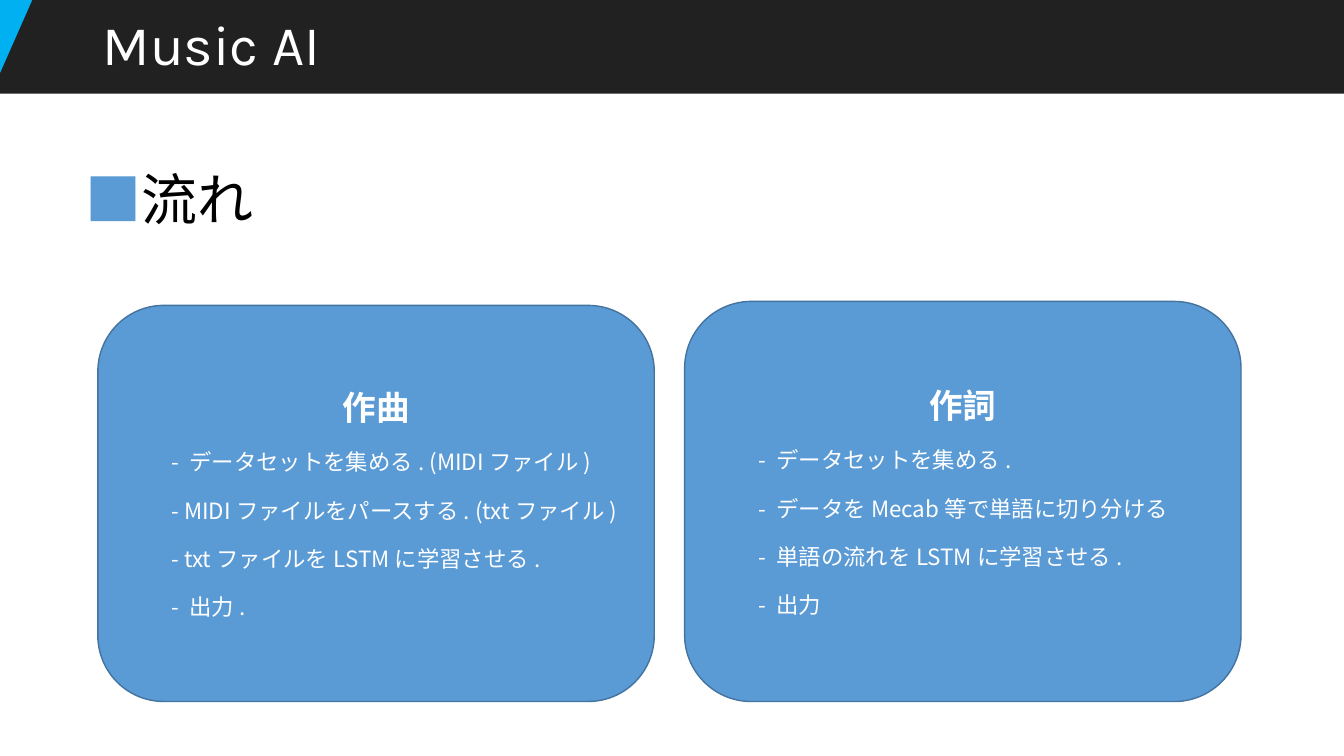
from pptx import Presentation
from pptx.dml.color import RGBColor as RGB
from pptx.enum.shapes import MSO_SHAPE as SHAPE
from pptx.enum.text import MSO_ANCHOR as ANCHOR, PP_ALIGN as ALIGN
from pptx.oxml.ns import qn
from pptx.util import Inches, Pt
from lxml import etree

COLORS = {
    "bar": "212121", "accent": "00B0F0", "card": "5B9BD5",
    "border": "43739E", "light": "FFFFFF", "dark": "000000",
}
LATIN, CJK = "Karla", "Noto Sans CJK JP"


class Deck:
    """Holds the style and the current slide; lengths are percent of its size."""

    def __init__(self):
        self.prs = Presentation()
        self.prs.slide_width, self.prs.slide_height = Inches(13.33), Inches(7.5)
        self.s = self.prs.slides.add_slide(self.prs.slide_layouts[6])

    def box(self, x, y, w, h):
        col, row = self.prs.slide_width / 100, self.prs.slide_height / 100
        return int(x * col), int(y * row), int(w * col), int(h * row)

    def style(self, r, size, color, font=CJK, bold=False):
        r.font.size, r.font.bold, r.font.name = Pt(size), bold, font
        r.font.color.rgb = RGB.from_string(COLORS[color])
        ea = etree.SubElement(r.font._element, qn("a:ea"))
        ea.set("typeface", font)

    def shape(self, kind, area, fill, line=None):
        sp = self.s.shapes.add_shape(kind, *self.box(*area))
        sp.shadow.inherit = False
        sp.fill.solid()
        sp.fill.fore_color.rgb = RGB.from_string(COLORS[fill])
        if line:
            sp.line.color.rgb = RGB.from_string(COLORS[line])
            sp.line.width = Pt(1)
        else:
            sp.line.fill.background()
        return sp

    def text(self, area, runs, size, font=CJK, anchor=ANCHOR.TOP):
        tf = self.s.shapes.add_textbox(*self.box(*area)).text_frame
        tf.word_wrap, tf.vertical_anchor = True, anchor
        p = tf.paragraphs[0]
        p.line_spacing = 0.9
        for words, color in runs:
            r = p.add_run()
            r.text = words
            self.style(r, size, color, font)

    def card(self, area, heading, steps):
        tf = self.shape(SHAPE.ROUNDED_RECTANGLE, area, "card", "border").text_frame
        tf.word_wrap, tf.vertical_anchor = True, ANCHOR.MIDDLE
        p = tf.paragraphs[0]
        p.text, p.alignment = heading, ALIGN.CENTER
        self.style(p.runs[0], 24, "light", bold=True)
        for step in steps:
            p = tf.add_paragraph()
            p.text, p.alignment, p.space_before = f"- {step}", ALIGN.LEFT, Pt(15.4)
            p._p.get_or_add_pPr().set("marL", str(Inches(0.44)))
            self.style(p.runs[0], 16, "light")


def main():
    deck = Deck()

    # Header bar with corner accent
    deck.shape(SHAPE.RECTANGLE, (0, 0, 100, 12.4), "bar")
    corner = deck.shape(SHAPE.RIGHT_TRIANGLE, (-0.08, 0, 2.48, 10), "accent")
    corner._element.spPr.find(qn("a:xfrm")).set("flipV", "1")
    deck.text((6.9, 1.2, 77, 10.13), [("Music AI", "light")], 40, LATIN, ANCHOR.MIDDLE)

    # Section heading
    deck.text((5.63, 22.13, 16.05, 10.8), [("■", "card"), ("流れ", "dark")], 40)

    # Workflow cards
    deck.card((7.28, 40.4, 41.4, 52.4), "作曲", [
        "データセットを集める. (MIDIファイル)",
        "MIDIファイルをパースする. (txtファイル)",
        "txtファイルをLSTMに学習させる.",
        "出力.",
    ])
    deck.card((50.94, 39.87, 41.4, 52.93), "作詞", [
        "データセットを集める.",
        "データをMecab等で単語に切り分ける",
        "単語の流れをLSTMに学習させる.",
        "出力",
    ])

    deck.prs.save("out.pptx")


if __name__ == "__main__":
    main()
